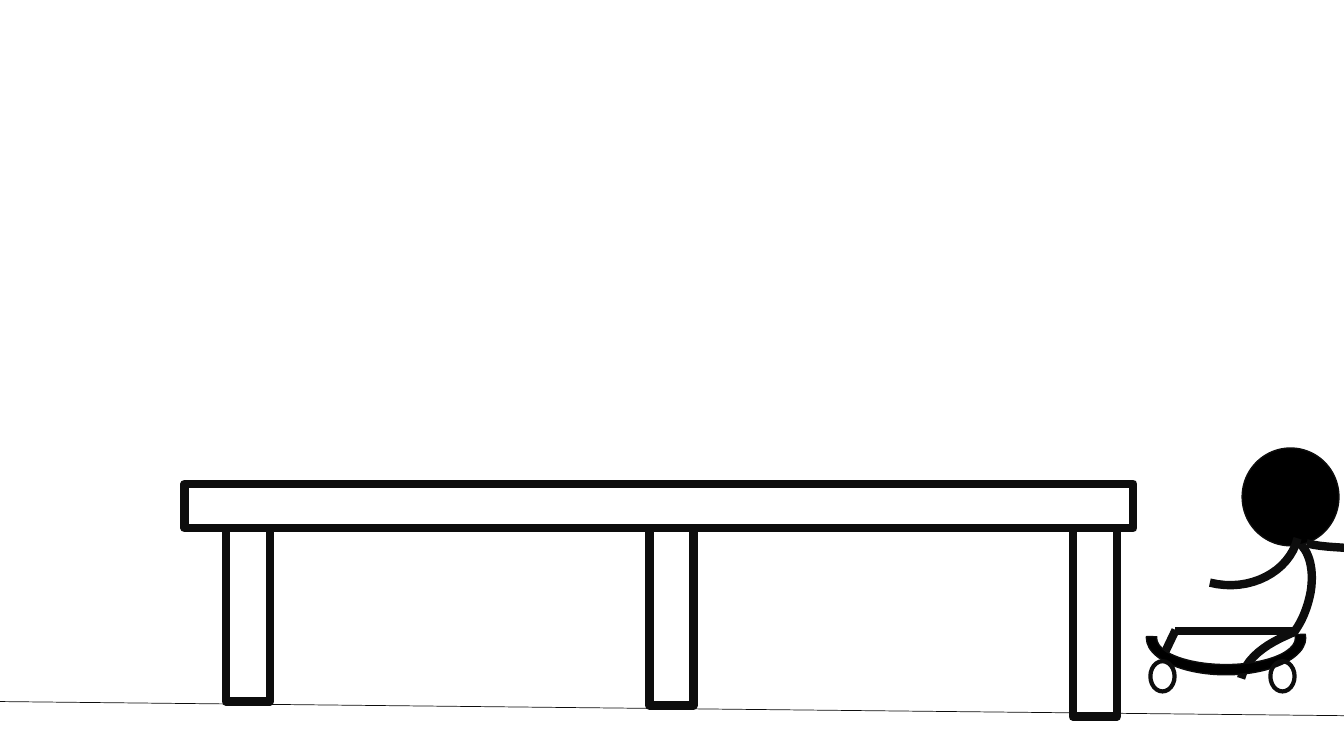
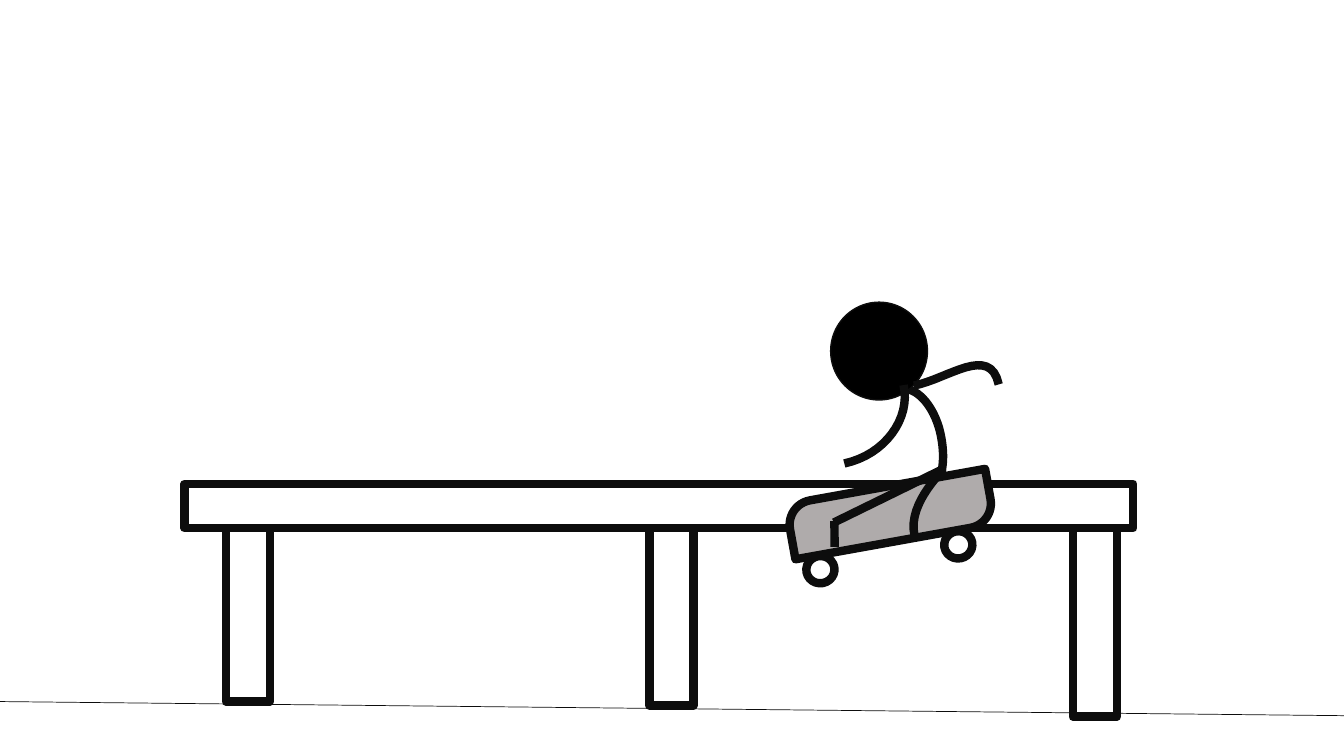
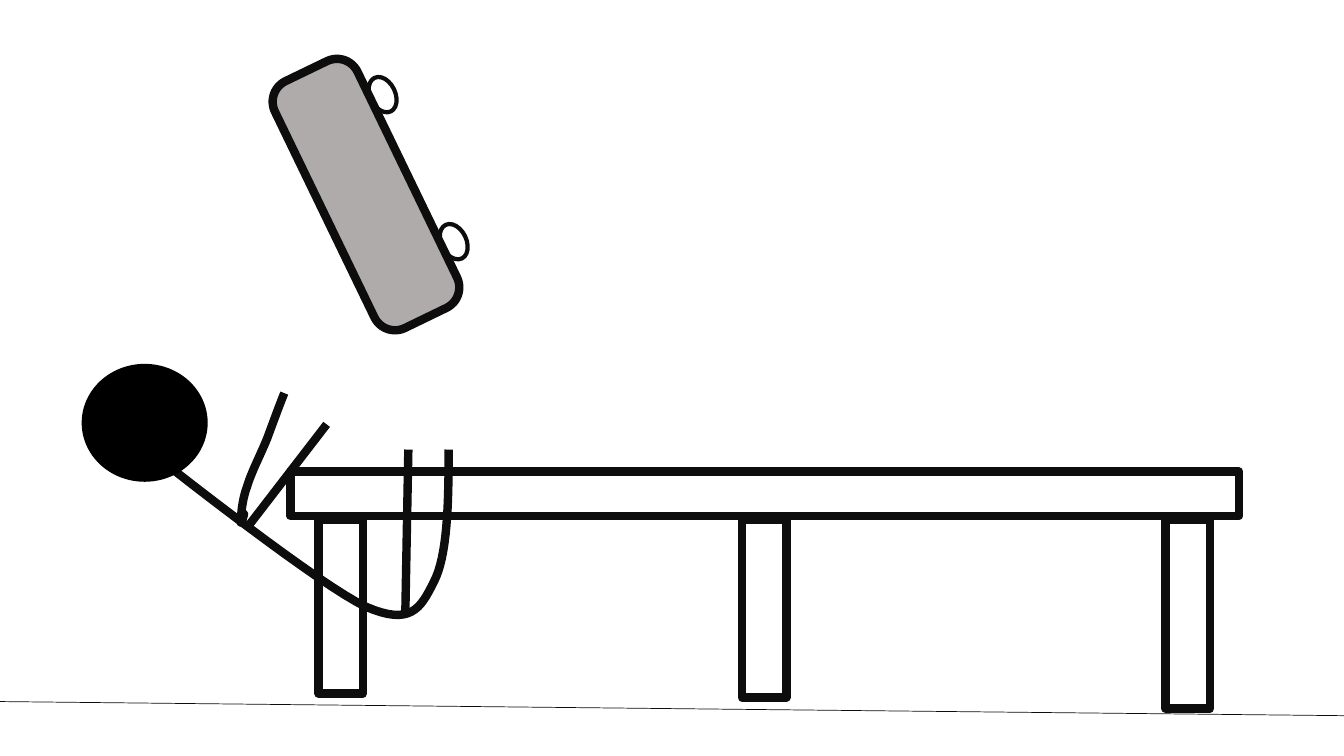
from dataclasses import dataclass
from math import cos, radians, sin

from lxml import etree
from pptx import Presentation
from pptx.dml.color import RGBColor
from pptx.enum.shapes import MSO_CONNECTOR, MSO_SHAPE
from pptx.oxml.ns import qn
from pptx.util import Inches, Pt

RECT, OVAL = MSO_SHAPE.RECTANGLE, MSO_SHAPE.OVAL
ARC, ROUNDED = MSO_SHAPE.BLOCK_ARC, MSO_SHAPE.ROUNDED_RECTANGLE
DIAGONAL = MSO_SHAPE.ROUND_2_DIAG_RECTANGLE
STRAIGHT = MSO_CONNECTOR.STRAIGHT

COLS, ROWS = 13.33, 7.5  # the grid of the slide, in cells of one inch


@dataclass(frozen=True)
class Theme:
    ink: RGBColor = RGBColor(0x0D, 0x0D, 0x0D)
    solid: RGBColor = RGBColor(0, 0, 0)
    deck: RGBColor = RGBColor(0xAF, 0xAB, 0xAB)
    bold: float = 6
    medium: float = 3
    thin: float = 1
    hair: float = 0.5


THEME = Theme()


def turned(point, angle):
    """Turn a point clockwise about the origin."""
    x, y = point
    c, s = cos(radians(angle)), sin(radians(angle))
    return x * c - y * s, x * s + y * c


def placed(points, origin, angle=0):
    """Turn points about their own origin, then move them to a place on the slide."""
    return [(origin[0] + x, origin[1] + y)
            for x, y in (turned(point, angle) for point in points)]


def add_figure(slide, kind, center, size, fill=None, weight=THEME.bold, angle=0):
    (x, y), (w, h) = center, size
    sp = slide.shapes.add_shape(kind, Inches(x - w / 2), Inches(y - h / 2),
                                Inches(w), Inches(h))
    sp.rotation = angle
    sp.shadow.inherit = False
    if fill is None:
        sp.fill.background()
    else:
        sp.fill.solid()
        sp.fill.fore_color.rgb = fill
    if weight:
        sp.line.color.rgb = THEME.ink
        sp.line.width = Pt(weight)
    else:
        sp.line.fill.background()
    return sp


def add_straight(slide, start, end, weight=THEME.bold):
    line = slide.shapes.add_connector(STRAIGHT, *(Inches(v) for v in (*start, *end)))
    line.line.color.rgb = THEME.ink
    line.line.width = Pt(weight)
    etree.SubElement(line._element.spPr, qn("a:effectLst"))


def bezier(p0, p1, p2, p3, steps=16):
    for i in range(1, steps + 1):
        t = i / steps
        u = 1 - t
        yield tuple(u**3 * a + 3 * u * u * t * b + 3 * u * t * t * c + t**3 * d
                    for a, b, c, d in zip(p0, p1, p2, p3))


def add_curve(slide, points):
    """Draw an open stroke: a start, then two controls and an end for each arc."""
    outline = [p for i in range(0, len(points) - 1, 3) for p in bezier(*points[i:i + 4])]
    x, y = points[0]
    builder = slide.shapes.build_freeform(Inches(x), Inches(y))
    builder.add_line_segments([(Inches(px), Inches(py)) for px, py in outline], close=False)
    sp = builder.convert_to_shape()
    sp.shadow.inherit = False
    sp.fill.background()
    sp.line.color.rgb = THEME.ink
    sp.line.width = Pt(THEME.bold)


def add_limbs(slide, limbs, origin, angle=0):
    for limb in limbs:
        points = placed(limb, origin, angle)
        if len(points) == 2:
            add_straight(slide, *points)
        else:
            add_curve(slide, points)


def ground(slide):
    add_straight(slide, (0, 6.96), (COLS, 7.1), THEME.hair)


def bench(slide, left, top, inset=0.41, drop=0.44):
    """Draw a bench whose evenly spaced legs grow with the slope of the ground."""
    width, thick, step = 9.41, 0.44, 4.2
    add_figure(slide, RECT, (left + width / 2, top + thick / 2), (width, thick))
    for i, height in enumerate((1.72, 1.76, 1.87)):
        center = left + inset + i * step + thick / 2, top + drop + height / 2
        add_figure(slide, RECT, center, (thick, height))


def skateboard(slide, center, size, kind, adjust, wheels, wheel_size, angle=0,
               fill=THEME.deck, weight=THEME.bold, wheel_weight=THEME.medium):
    """Draw a deck and its wheels, all turned about the centre of the deck."""
    deck = add_figure(slide, kind, center, size, fill, weight, angle)
    for i, value in enumerate(adjust):
        deck.adjustments[i] = value
    for wheel in placed(wheels, center, angle):
        add_figure(slide, OVAL, wheel, wheel_size, weight=wheel_weight, angle=angle)
    return deck


def rider(slide, hip, angle=0):
    """Draw the seated rider, turned about the hip."""
    bent_leg = [(0, 0), (0.06, 0.01), (-0.45, 0.13), (-0.53, 0.47)]
    thigh = [(0, 0), (-1.19, 0)]
    shin = [(-1.18, -0.01), (-1.29, 0.22)]
    torso = [(-0.01, -0.9), (0.13, -0.85), (0.2, -0.64), (0.16, -0.39),
             (0.13, -0.23), (0.07, -0.08), (-0.02, 0.03)]
    back_arm = [(0.12, -0.87), (0.45, -0.78), (0.98, -0.91), (0.88, -0.51)]
    front_arm = [(0.03, -0.92), (-0.05, -0.59), (-0.44, -0.38), (-0.84, -0.48)]
    add_limbs(slide, (bent_leg, thigh, shin, torso), hip, angle)
    head, = placed([(-0.04, -1.33)], hip, angle)
    add_figure(slide, OVAL, head, (0.96, 0.97), THEME.solid, THEME.thin)
    add_limbs(slide, (back_arm, front_arm), hip, angle)


def fallen_rider(slide, left, top):
    body = [(3.64, 0.85), (3.64, 1.38), (3.63, 1.91), (3.49, 2.17), (3.36, 2.43),
            (3.26, 2.6), (2.82, 2.41), (2.38, 2.21), (0.87, 1.02), (0.87, 1.02)]
    leg = [(3.24, 0.85), (3.21, 2.49)]
    straight_arm = [(2.43, 0.6), (1.66, 1.6)]
    bent_arm = [(2.01, 0.29), (1.95, 0.44), (1.9, 0.58), (1.84, 0.74), (1.78, 0.89),
                (1.68, 1.08), (1.64, 1.22), (1.59, 1.35), (1.58, 1.51), (1.58, 1.56),
                (1.57, 1.61), (1.61, 1.51), (1.61, 1.49), (1.61, 1.48), (1.58, 1.5),
                (1.58, 1.49)]
    add_limbs(slide, (body, leg, straight_arm, bent_arm), (left, top))
    w, h = 1.25, 1.17
    add_figure(slide, OVAL, (left + w / 2, top + h / 2), (w, h), THEME.solid, weight=0)


def approach_slide(slide):
    ground(slide)
    bench(slide, 1.83, 4.8)
    rider(slide, (12.84, 6.26))
    deck = skateboard(slide, (12.16, 6.33), (1.58, 0.73), ARC, (107.39, 1.651, 0.139),
                      [(-0.63, 0.38), (0.56, 0.38)], (0.24, 0.3),
                      fill=THEME.solid, weight=THEME.thin)
    deck._element.spPr.find(qn("a:xfrm")).set("flipV", "1")


def jump_slide(slide):
    ground(slide)
    bench(slide, 1.83, 4.8)
    skateboard(slide, (8.83, 5.1), (2.01, 0.55), DIAGONAL, (0.446, 0),
               [(-0.78, 0.42), (0.61, 0.42)], (0.28, 0.27), angle=-10.2,
               wheel_weight=THEME.bold)
    rider(slide, (9.34, 4.66), angle=-26.1)


def fall_slide(slide):
    ground(slide)
    bench(slide, 2.88, 4.68, inset=0.28, drop=0.48)
    skateboard(slide, (3.63, 1.93), (0.91, 2.72), ROUNDED, (0.249,),
               [(0.58, -0.82), (0.58, 0.8)], (0.25, 0.37), angle=-25.8)
    fallen_rider(slide, 0.81, 3.61)


def main():
    prs = Presentation()
    prs.slide_width, prs.slide_height = Inches(COLS), Inches(ROWS)
    blank = prs.slide_layouts[6]
    for draw in (approach_slide, jump_slide, fall_slide):
        draw(prs.slides.add_slide(blank))
    prs.save("out.pptx")


if __name__ == "__main__":
    main()
